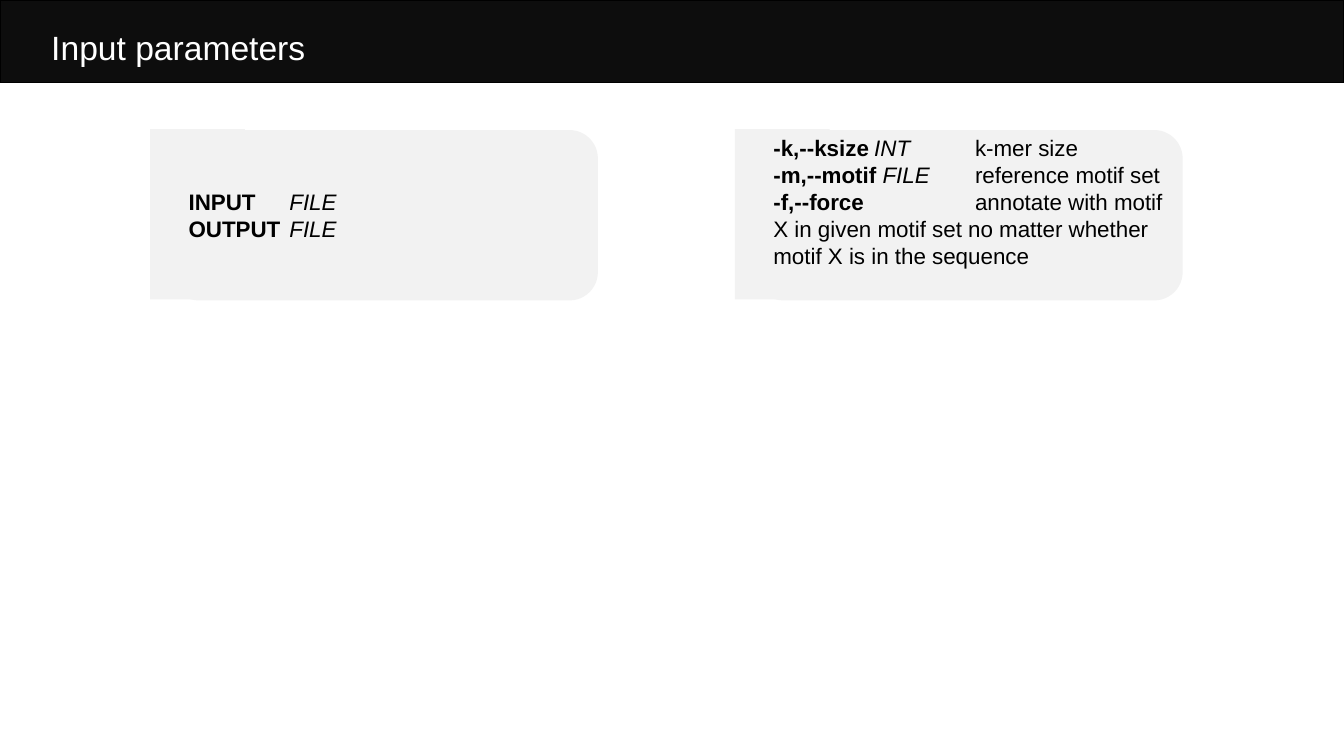
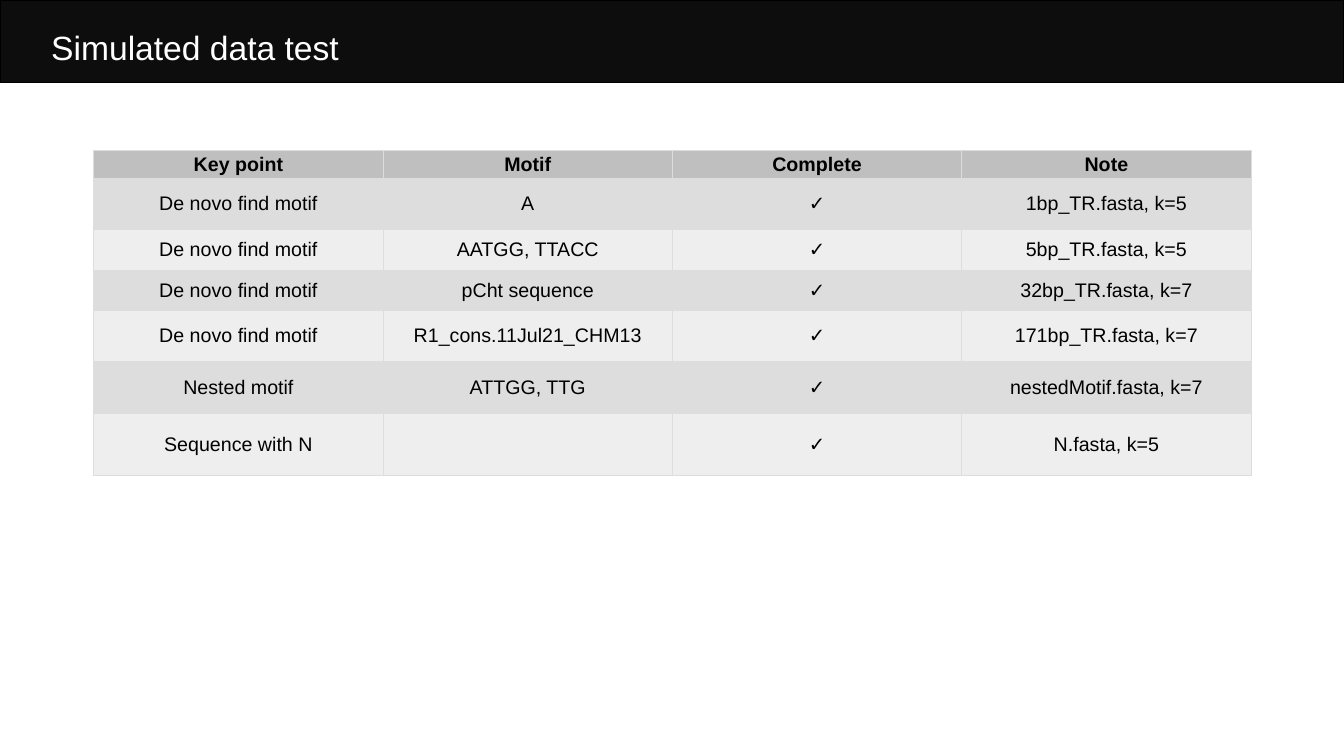
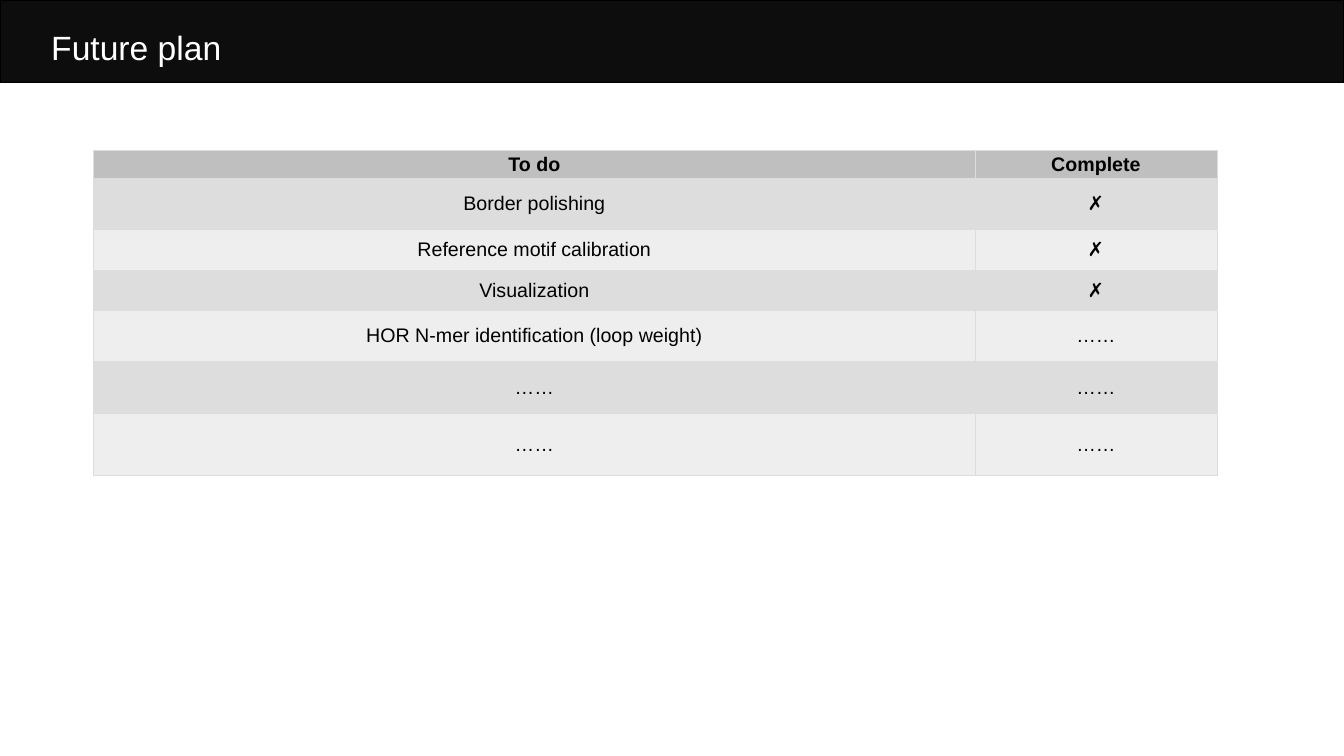
from pptx import Presentation, util as u
from pptx.dml.color import RGBColor
from pptx.enum import shapes, text
from pptx.oxml import parse_xml
from pptx.oxml.ns import nsdecls

INK = {"band": "0D0D0D", "text": "000000", "title": "FFFFFF", "panel": "F2F2F2",
       "head": "BFBFBF", "odd": "DDDDDD", "even": "EEEEEE", "rule": "DDDDDD"}
FONT = "Arial"
ROWS = [0.28, 0.51, 0.4, 0.4, 0.51, 0.51, 0.62]
KIND = shapes.MSO_SHAPE
MID = text.MSO_ANCHOR.MIDDLE


def tint(fill, name):
    fill.solid()
    fill.fore_color.rgb = RGBColor.from_string(INK[name])


def add_run(para, words, size, ink="text", style=""):
    """Style letters: b for bold, i for italic."""
    run = para.add_run()
    run.text = words
    font = run.font
    font.name, font.size = FONT, u.Pt(size)
    font.bold, font.italic = "b" in style, "i" in style
    font.color.rgb = RGBColor.from_string(INK[ink])


def add_tabs(para):
    """Tab stops at one and two inches."""
    stops = "".join(f'<a:tab pos="{u.Inches(pos)}" algn="l"/>' for pos in (1, 2))
    para._p.get_or_add_pPr().append(parse_xml(
        f'<a:tabLst {nsdecls("a")}>{stops}</a:tabLst>'))


def add_block(slide, kind, box, ink):
    shape = slide.shapes.add_shape(kind, *map(u.Inches, box))
    shape.shadow.inherit = False
    tint(shape.fill, ink)
    shape.line.fill.background()
    return shape


def add_page(deck, title):
    """Blank slide with the title band."""
    slide = deck.slides.add_slide(deck.slide_layouts[6])
    band = add_block(slide, KIND.RECTANGLE, (0, 0, 13.33, 0.82), "band")
    tint(band.line.fill, "text")
    band.line.width = u.Pt(1)
    box = slide.shapes.add_textbox(*map(u.Inches, (0.41, 0.22, 10.61, 0.5)))
    box.text_frame.word_wrap = True
    add_run(box.text_frame.paragraphs[0], title, 24, "title")
    return slide


def add_panel(slide, left, top, lines, foot=0.05):
    """Panel with square left corners and round right ones."""
    high = 1.69
    add_block(slide, KIND.RECTANGLE, (left, top, 0.94, high), "panel")
    card = add_block(slide, KIND.ROUNDED_RECTANGLE,
                     (left + 0.2, top + 0.01, 4.24, high), "panel")
    frame = card.text_frame
    frame.word_wrap = True
    frame.vertical_anchor = MID
    frame.margin_bottom = u.Inches(foot)
    for num, runs in enumerate(lines):
        para = frame.add_paragraph() if num else frame.paragraphs[0]
        add_tabs(para)
        para.alignment = text.PP_ALIGN.LEFT
        for words, style in runs:
            add_run(para, words, 16, style=style)


def add_rules(cell):
    """Thin border on each side; borders go ahead of the fill."""
    props = cell._tc.get_or_add_tcPr()
    for spot, side in enumerate(("lnL", "lnR", "lnT", "lnB")):
        props.insert(spot, parse_xml(
            f'<a:{side} {nsdecls("a")} w="{u.Pt(0.6)}"><a:solidFill>'
            f'<a:srgbClr val="{INK["rule"]}"/></a:solidFill></a:{side}>'))


def add_grid(slide, left, top, cols, rows):
    """Table with a header row and banded body rows."""
    box = map(u.Inches, (left, top, sum(cols), sum(ROWS)))
    grid = slide.shapes.add_table(len(rows), len(cols), *box).table
    for col, wide in zip(grid.columns, cols):
        col.width = u.Inches(wide)
    for num, (row, high, words) in enumerate(zip(grid.rows, ROWS, rows)):
        row.height = u.Inches(high)
        ink = "head" if num == 0 else "odd" if num % 2 else "even"
        for cell, word in zip(row.cells, words):
            tint(cell.fill, ink)
            add_rules(cell)
            cell.vertical_anchor = MID
            cell.margin_left = cell.margin_right = u.Inches(0.03)
            cell.margin_top = cell.margin_bottom = u.Inches(0.02)
            para = cell.text_frame.paragraphs[0]
            para.alignment = text.PP_ALIGN.CENTER
            if word:
                add_run(para, word, 14, style="" if num else "b")


def main():
    deck = Presentation()
    deck.slide_width, deck.slide_height = u.Inches(13.33), u.Inches(7.5)

    # Input parameters
    slide = add_page(deck, "Input parameters")
    add_panel(slide, 1.49, 1.28, [
        [("INPUT\t", "b"), ("FILE", "i")],
        [("OUTPUT\t", "b"), ("FILE", "i")]])
    add_panel(slide, 7.29, 1.28, [
        [("-k,--ksize\t", "b"), ("INT", "i"), ("\tk-mer size", "")],
        [("-m,--motif ", "b"), ("FILE\t", "i"), ("reference motif set", "")],
        [("-f,--force", "b"),
         ("\t\tannotate with motif X in given motif set no matter whether "
          "motif X is in the sequence", "")]], foot=0.32)

    # Simulated data test
    slide = add_page(deck, "Simulated data test")
    novo, done = "De novo find motif", "✓"
    add_grid(slide, 0.93, 1.49, [2.87] * 4, [
        ("Key point", "Motif", "Complete", "Note"),
        (novo, "A", done, "1bp_TR.fasta, k=5"),
        (novo, "AATGG, TTACC", done, "5bp_TR.fasta, k=5"),
        (novo, "pCht sequence", done, "32bp_TR.fasta, k=7"),
        (novo, "R1_cons.11Jul21_CHM13", done, "171bp_TR.fasta, k=7"),
        ("Nested motif", "ATTGG, TTG", done, "nestedMotif.fasta, k=7"),
        ("Sequence with N", "", done, "N.fasta, k=5")])

    # Future plan
    slide = add_page(deck, "Future plan")
    undone, more = "✗", "……"
    add_grid(slide, 0.93, 1.49, [8.74, 2.4], [
        ("To do", "Complete"),
        ("Border polishing", undone),
        ("Reference motif calibration", undone),
        ("Visualization", undone),
        ("HOR N-mer identification (loop weight)", more),
        (more, more),
        (more, more)])

    deck.save("out.pptx")


if __name__ == "__main__":
    main()
